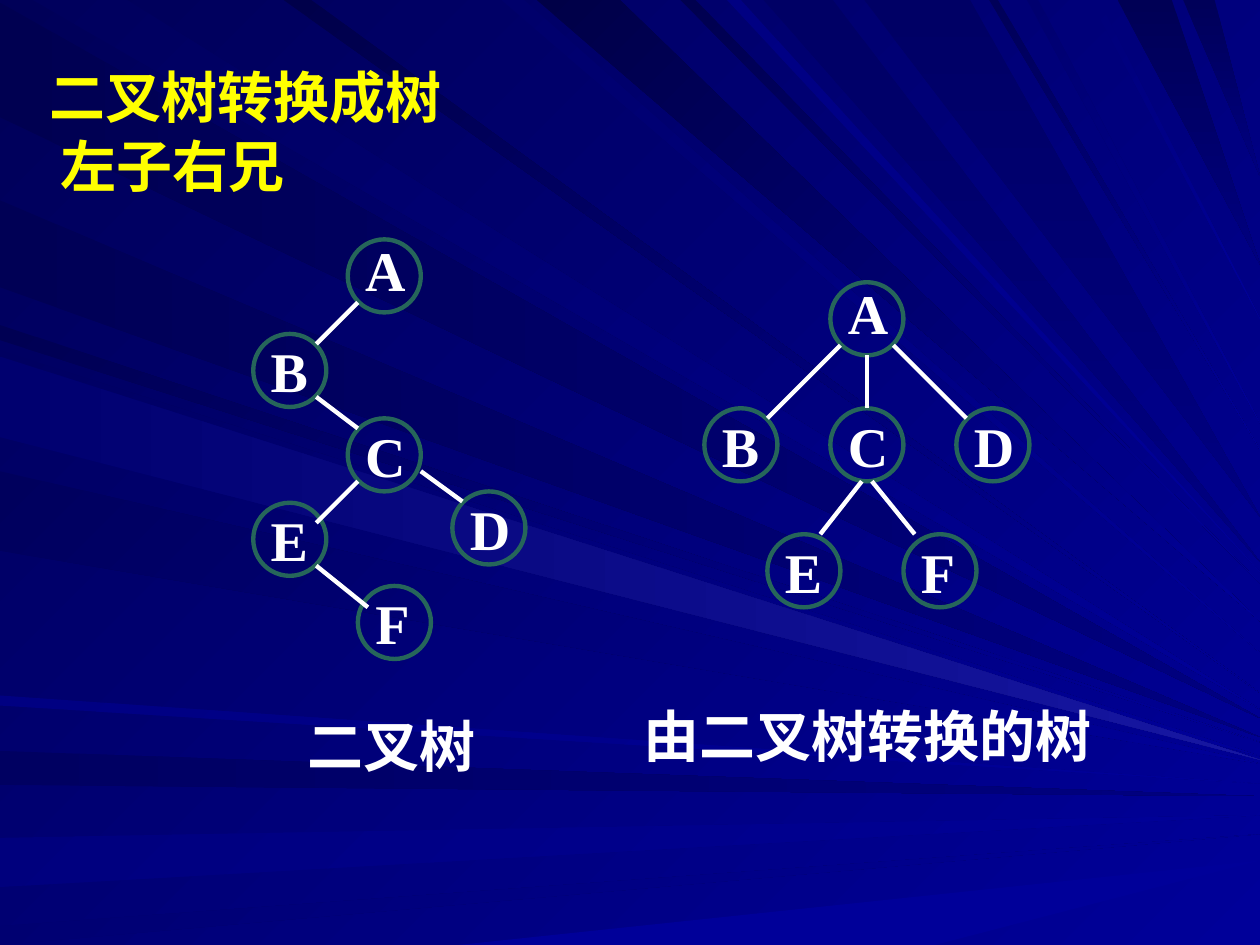
from dataclasses import dataclass
from math import copysign

from lxml import etree
from pptx import Presentation
from pptx.dml.color import RGBColor
from pptx.enum import shapes as kinds, text as text_enum
from pptx.oxml import ns
from pptx.util import Inches, Pt

COLORS = {"dark": "000058", "blue": "000099", "navy": "000080", "glow": "1717A2",
          "ring": "26665A", "white": "FFFFFF", "yellow": "FFFF00"}
LATIN_FONT, CHINESE_FONT = "Times New Roman", "Noto Sans CJK SC"
WIDTH, HEIGHT = 10, 7.5
RADIUS, DIAGONAL = 0.29, 0.21
LINE_WIDTH = 2.5
LINE_PITCH, LOOSE_PITCH = 39, 43
Point = tuple[float, float]


@dataclass(frozen=True)
class Ray:
    """A wedge from a stretch of one slide edge to a tip on the right edge."""
    side: str
    first: float
    last: float
    tip: float
    start: str
    end: str = "blue"


@dataclass(frozen=True)
class Edge:
    """A branch; an end without a point sits on the rim of its node."""
    parent: str
    child: str
    start: Point | None = None
    end: Point | None = None


@dataclass(frozen=True)
class Tree:
    """Node corners (root first), branches and a caption box."""
    nodes: dict[str, Point]
    edges: list[Edge]
    caption: str
    caption_box: tuple[float, float, float, float]


RAYS = [
    Ray("left", 0.02, 0.93, 5.7, "000051", "navy"),
    Ray("top", 0.26, 1.01, 5.63, "00005D"),
    Ray("left", 5.96, 6.23, 6.32, "000061", "navy"),
    Ray("left", 6.65, 7.04, 6.47, "00007D"),
    Ray("left", 7.35, 7.5, 6.62, "00006F"),
    Ray("bottom", 3.64, 7.42, 6.83, "000099"),
    Ray("left", 2.58, 2.7, 5.89, "000053"),
    Ray("left", 1.59, 2.28, 5.85, "000055", "navy"),
    Ray("top", 3.98, 4.16, 5.18, "00006B"),
    Ray("top", 4.26, 4.92, 4.93, "000047"),
    Ray("top", 5.4, 5.52, 4.63, "00004F"),
    Ray("top", 6.06, 6.61, 4.46, "000065", "navy"),
    Ray("top", 8.87, 9.3, 2.1, "000055", "navy"),
    Ray("top", 9.39, 9.64, 1.4, "000059", "navy"),
    Ray("left", 2.78, 3.42, 6, "000061"),
    Ray("left", 3.74, 4.37, 6.06, "00005D"),
    Ray("left", 5.52, 5.6, 6.22, "000082"),
    Ray("top", 2.25, 2.47, 5.5, "00004A"),
    Ray("top", 5.77, 5.88, 4.54, "000082"),
    Ray("top", 6.86, 7.7, 4.1, "000065", "navy"),
    Ray("top", 7.85, 7.92, 3.57, "000058"),
    Ray("top", 8.15, 8.24, 3.36, "00006F"),
    Ray("top", 8.65, 8.72, 2.53, "000079"),
    Ray("left", 2.83, 3.47, 6.03, "00006F", "glow"),
]

TREES = [
    Tree({"A": (6.59, 2.24), "C": (6.59, 3.24), "B": (5.59, 3.24),
          "F": (7.17, 4.24), "D": (7.59, 3.24), "E": (6.09, 4.24)},
         [Edge("A", "C"), Edge("A", "B"), Edge("A", "D"),
          Edge("C", "E", (6.84, 3.82), (6.51, 4.24)),
          Edge("C", "F", (6.92, 3.82), (7.26, 4.24))],
         "由二叉树转换的树", (5.01, 5.49, 3.92, 0.64)),
    Tree({"A": (2.76, 1.9), "C": (2.76, 3.32), "B": (2.01, 2.65),
          "F": (2.84, 4.65), "D": (3.59, 3.9), "E": (2.01, 3.99)},
         [Edge("A", "B"), Edge("B", "C"), Edge("C", "E", end=(2.51, 4.15)),
          Edge("E", "F", end=(2.92, 4.82)), Edge("C", "D", start=(3.34, 3.74))],
         "二叉树", (2.34, 5.57, 1.83, 0.64)),
]


def paint(fill, start: str, end: str, angle: int) -> None:
    """Fill with a two-colour gradient at a clockwise angle."""
    fill.gradient()
    fill.gradient_angle = (360 - angle) % 360
    for stop, color in zip(fill.gradient_stops, (start, end)):
        stop.color.rgb = RGBColor.from_string(color)


def draw_ray(slide, ray: Ray) -> None:
    places = {"left": lambda along: (0, along),
              "top": lambda along: (along, 0),
              "bottom": lambda along: (along, HEIGHT)}
    place = places[ray.side]
    points = [place(ray.first), place(ray.last), (WIDTH, ray.tip)]
    corners = [(Inches(x), Inches(y)) for x, y in points]
    builder = slide.shapes.build_freeform(*corners[0], scale=1.0)
    builder.add_line_segments(corners[1:], close=True)
    shape = builder.convert_to_shape()
    shape.shadow.inherit = False
    shape.line.fill.background()
    navy_angle = 90 if ray.side == "top" else 0
    angle = {"navy": navy_angle, "glow": 0}.get(ray.end, 45)
    paint(shape.fill, ray.start, COLORS[ray.end], angle)


def write(shape, content: str, color: str, font_name: str, pitch: float, top_inset: float) -> None:
    frame = shape.text_frame
    frame.text = content
    frame_format = {"word_wrap": True, "auto_size": text_enum.MSO_AUTO_SIZE.NONE,
                    "vertical_anchor": text_enum.MSO_ANCHOR.TOP,
                    "margin_left": Inches(0.1), "margin_right": Inches(0.1),
                    "margin_top": Inches(top_inset), "margin_bottom": Inches(0.05)}
    for name, value in frame_format.items():
        setattr(frame, name, value)
    paragraph = frame.paragraphs[0]
    paragraph_format = {"alignment": text_enum.PP_ALIGN.LEFT,
                        "line_spacing": Pt(pitch), "space_before": Pt(0)}
    for name, value in paragraph_format.items():
        setattr(paragraph, name, value)
    for run in paragraph.runs:
        for name, value in {"name": font_name, "size": Pt(32), "bold": True}.items():
            setattr(run.font, name, value)
        run.font.color.rgb = RGBColor.from_string(COLORS[color])
        east_asian = etree.SubElement(run._r.get_or_add_rPr(), ns.qn("a:ea"))
        east_asian.set("typeface", CHINESE_FONT)


def add_title(slide) -> None:
    title = slide.shapes.title
    slide.shapes._spTree.append(title._element)  # in front of the rays
    box = {"left": 0, "top": 0.42, "width": WIDTH, "height": 7.08}
    for name, value in box.items():
        setattr(title, name, Inches(value))
    write(title, "二叉树转换成树\v左子右兄", "yellow", CHINESE_FONT, LINE_PITCH, 0.07)
    properties = title.text_frame.paragraphs[0]._p.get_or_add_pPr()
    properties.set("marL", str(Inches(0.38)))
    properties.set("indent", str(Inches(-0.09)))


def add_node(slide, letter: str, left: float, top: float, pitch: float) -> None:
    size = Inches(2 * RADIUS)
    ring = slide.shapes.add_shape(kinds.MSO_SHAPE.OVAL, Inches(left), Inches(top), size, size)
    ring.shadow.inherit = False
    ring.fill.background()
    ring.line.color.rgb = RGBColor.from_string(COLORS["ring"])
    ring.line.width = Pt(LINE_WIDTH)
    label = slide.shapes.add_textbox(Inches(left + 0.04), Inches(top - 0.09),
                                     size, Pt(pitch) + Inches(0.1))
    write(label, letter, "white", LATIN_FONT, pitch, 0.05)


def rim_point(node: Point, across: float, down: int) -> Point:
    """Rim point of a node, straight below or above it or on a diagonal."""
    x, y = node[0] + RADIUS, node[1] + RADIUS
    if across == 0:
        return x, y + down * RADIUS
    return x + copysign(DIAGONAL, across), y + down * DIAGONAL


def add_edge(slide, edge: Edge, nodes: dict[str, Point]) -> None:
    parent, child = nodes[edge.parent], nodes[edge.child]
    across = child[0] - parent[0]
    start = edge.start or rim_point(parent, across, 1)
    end = edge.end or rim_point(child, -across, -1)
    line = slide.shapes.add_connector(kinds.MSO_CONNECTOR.STRAIGHT, *map(Inches, start + end))
    line.line.color.rgb = RGBColor.from_string(COLORS["white"])
    line.line.width = Pt(LINE_WIDTH)
    etree.SubElement(line._element.spPr, ns.qn("a:effectLst"))


def draw_tree(slide, tree: Tree) -> None:
    for index, (letter, (left, top)) in enumerate(tree.nodes.items()):
        add_node(slide, letter, left, top, LOOSE_PITCH if index else LINE_PITCH)
    for edge in tree.edges:
        add_edge(slide, edge, tree.nodes)
    caption = slide.shapes.add_textbox(*map(Inches, tree.caption_box))
    write(caption, tree.caption, "white", LATIN_FONT, LINE_PITCH, 0.07)


def main() -> None:
    presentation = Presentation()
    presentation.slide_width, presentation.slide_height = Inches(WIDTH), Inches(HEIGHT)
    slide = presentation.slides.add_slide(presentation.slide_layouts[5])
    paint(slide.background.fill, COLORS["dark"], COLORS["blue"], 45)
    for ray in RAYS:
        draw_ray(slide, ray)
    add_title(slide)
    for tree in TREES:
        draw_tree(slide, tree)
    presentation.save("out.pptx")


if __name__ == "__main__":
    main()
